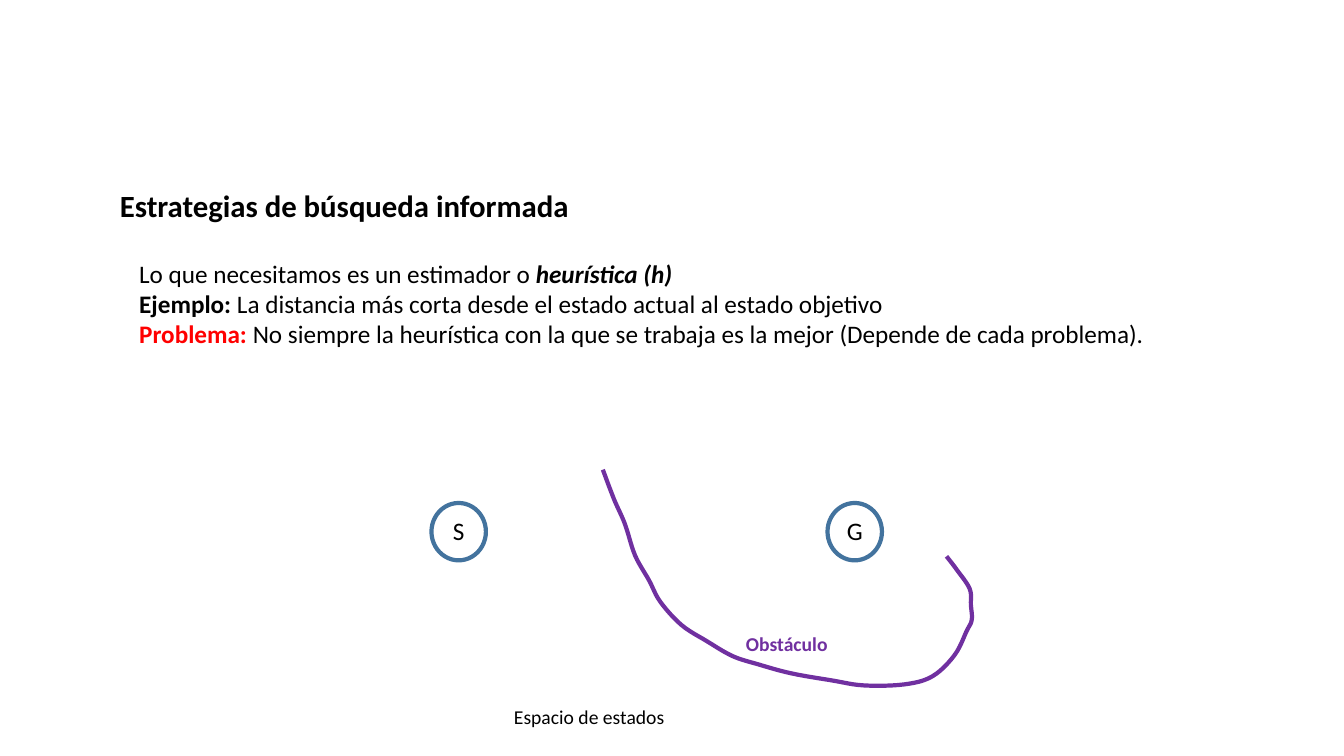
"""Builds the slide on informed search: a heuristic, two states and an obstacle."""
from dataclasses import dataclass
from typing import NamedTuple

from lxml.etree import SubElement
from pptx import Presentation
from pptx.dml.color import RGBColor
from pptx.enum.shapes import MSO_SHAPE
from pptx.enum.text import MSO_ANCHOR as Anchor, MSO_AUTO_SIZE as AutoSize, PP_ALIGN as Align
from pptx.oxml.ns import qn
from pptx.util import Pt

BLACK = RGBColor(0x00, 0x00, 0x00)
RED = RGBColor(0xFF, 0x00, 0x00)
BLUE = RGBColor(0x43, 0x73, 0x9E)
PURPLE = RGBColor(0x70, 0x30, 0xA0)

FONT = "Calibri"
TITLE_SIZE, TEXT_SIZE, LABEL_SIZE = 22, 18, 14
LINE_WIDTH = 3
STATE_TOP, STATE_WIDTH, STATE_HEIGHT = 359.3, 38.9, 41
LABEL_WIDTH, LABEL_HEIGHT = 124.6, 24.5
STEPS_PER_KNOT = 6


class Point(NamedTuple):
    x: float
    y: float


class Area(NamedTuple):
    left: float
    top: float
    width: float
    height: float

    def lengths(self) -> list[Pt]:
        return [Pt(value) for value in self]


@dataclass(frozen=True)
class Span:
    text: str
    color: RGBColor = BLACK
    bold: bool = False
    italic: bool = False


@dataclass(frozen=True)
class State:
    name: str
    left: float


@dataclass(frozen=True)
class Label:
    span: Span
    left: float
    top: float


PAGE_WIDTH, PAGE_HEIGHT = 960, 540
TITLE_AREA = Area(70.6, 129.6, 350.6, 33.8)
BODY_AREA = Area(92.2, 180.7, 825.1, 72.7)
TITLE = Span("Estrategias de búsqueda informada", bold=True)
HEURISTIC_LINES = [
    [Span("Lo que necesitamos es un estimador o "),
     Span("heurística (h)", bold=True, italic=True)],
    [Span("Ejemplo: ", bold=True),
     Span("La distancia más corta desde el estado actual al estado objetivo")],
    [Span("Problema: ", RED, bold=True),
     Span("No siempre la heurística con la que se trabaja es la mejor "
          "(Depende de cada problema).")],
]
STATES = [State("S", 308.2), State("G", 591.1)]
LABELS = [
    Label(Span("Espacio de estados"), 358.6, 499.7),
    Label(Span("Obstáculo", PURPLE, bold=True), 499.7, 447.8),
]
LEFT_WALL = [Point(430.6, 335.5), Point(438.5, 356.4), Point(446.4, 374.4),
             Point(453.6, 396.7), Point(463.7, 414.7), Point(471.6, 429.8)]
FLOOR = [Point(486.7, 446.4), Point(504.7, 457.9), Point(523.4, 468.7),
         Point(541.4, 474.5), Point(565.2, 481), Point(594, 486),
         Point(617, 489.6), Point(645.8, 488.9), Point(666, 483.1)]
RIGHT_WALL = [Point(681.8, 468), Point(690.5, 450.7), Point(694.1, 442.8),
              Point(693.5, 432), Point(692.6, 420.5), Point(683.3, 406.8),
              Point(676.1, 397.4)]
OBSTACLE_KNOTS = LEFT_WALL + FLOOR + RIGHT_WALL


def blend(before: float, start: float, end: float, after: float, t: float) -> float:
    """Return the Catmull-Rom value between start and end at fraction t."""
    slope = end - before
    bend = 2 * before - 5 * start + 4 * end - after
    twist = 3 * (start - end) + after - before
    return start + (slope * t + bend * t ** 2 + twist * t ** 3) / 2


def smooth_curve(knots: list[Point]) -> list[Point]:
    """Return closely spaced points on a curve through all the knots."""
    padded = [knots[0], *knots, knots[-1]]
    curve = [knots[0]]
    for neighbours in zip(padded, padded[1:], padded[2:], padded[3:]):
        xs, ys = zip(*neighbours)
        for step in range(1, STEPS_PER_KNOT + 1):
            t = step / STEPS_PER_KNOT
            curve.append(Point(blend(*xs, t), blend(*ys, t)))
    return curve


def write(frame, lines: list[list[Span]], size: float, align: Align = Align.CENTER,
          anchor: Anchor = Anchor.TOP, wrap: bool = True) -> None:
    """Fill a text frame with one unbulleted paragraph per line."""
    frame.word_wrap = wrap
    frame.auto_size = AutoSize.NONE
    frame.vertical_anchor = anchor
    for number, spans in enumerate(lines):
        para = frame.add_paragraph() if number else frame.paragraphs[0]
        properties = para._p.get_or_add_pPr()
        properties.set("marL", "0")
        properties.set("indent", "0")
        SubElement(properties, qn("a:buNone"))
        para.alignment = align
        para.space_before = Pt(0)
        for span in spans:
            run = para.add_run()
            run.text = span.text
            run.font.name = FONT
            run.font.size = Pt(size)
            run.font.bold = span.bold
            run.font.italic = span.italic
            run.font.color.rgb = span.color


def place(placeholder, area: Area) -> None:
    """Move a placeholder to an area of the page."""
    (placeholder.left, placeholder.top,
     placeholder.width, placeholder.height) = area.lengths()


def outline(shape, color: RGBColor) -> None:
    """Leave a shape with nothing but a coloured line."""
    shape.shadow.inherit = False
    shape.fill.background()
    shape.line.color.rgb = color
    shape.line.width = Pt(LINE_WIDTH)


def add_state(page, state: State) -> None:
    """Draw a state as a circle around its name."""
    area = Area(state.left, STATE_TOP, STATE_WIDTH, STATE_HEIGHT)
    circle = page.shapes.add_shape(MSO_SHAPE.OVAL, *area.lengths())
    outline(circle, BLUE)
    frame = circle.text_frame
    frame.margin_left = frame.margin_right = frame.margin_top = Pt(0)
    frame.margin_bottom = Pt(2)
    write(frame, [[Span(state.name)]], TEXT_SIZE, anchor=Anchor.MIDDLE)


def add_obstacle(page) -> None:
    """Draw the obstacle as an open curve around the goal."""
    start, *rest = [(Pt(point.x), Pt(point.y)) for point in smooth_curve(OBSTACLE_KNOTS)]
    builder = page.shapes.build_freeform(*start)
    builder.add_line_segments(rest, close=False)
    outline(builder.convert_to_shape(), PURPLE)


def add_label(page, label: Label) -> None:
    """Write a centred label."""
    area = Area(label.left, label.top, LABEL_WIDTH, LABEL_HEIGHT)
    box = page.shapes.add_textbox(*area.lengths())
    write(box.text_frame, [[label.span]], LABEL_SIZE)


def main() -> None:
    """Build and save the deck."""
    deck = Presentation()
    deck.slide_width, deck.slide_height = Pt(PAGE_WIDTH), Pt(PAGE_HEIGHT)
    page = deck.slides.add_slide(deck.slide_layouts.get_by_name("Title and Content"))
    title, body = page.placeholders
    place(title, TITLE_AREA)
    write(title.text_frame, [[TITLE]], TITLE_SIZE, wrap=False)
    place(body, BODY_AREA)
    write(body.text_frame, HEURISTIC_LINES, TEXT_SIZE, align=Align.LEFT)
    for state in STATES:
        add_state(page, state)
    add_obstacle(page)
    for label in LABELS:
        add_label(page, label)
    deck.save("out.pptx")


if __name__ == "__main__":
    main()
